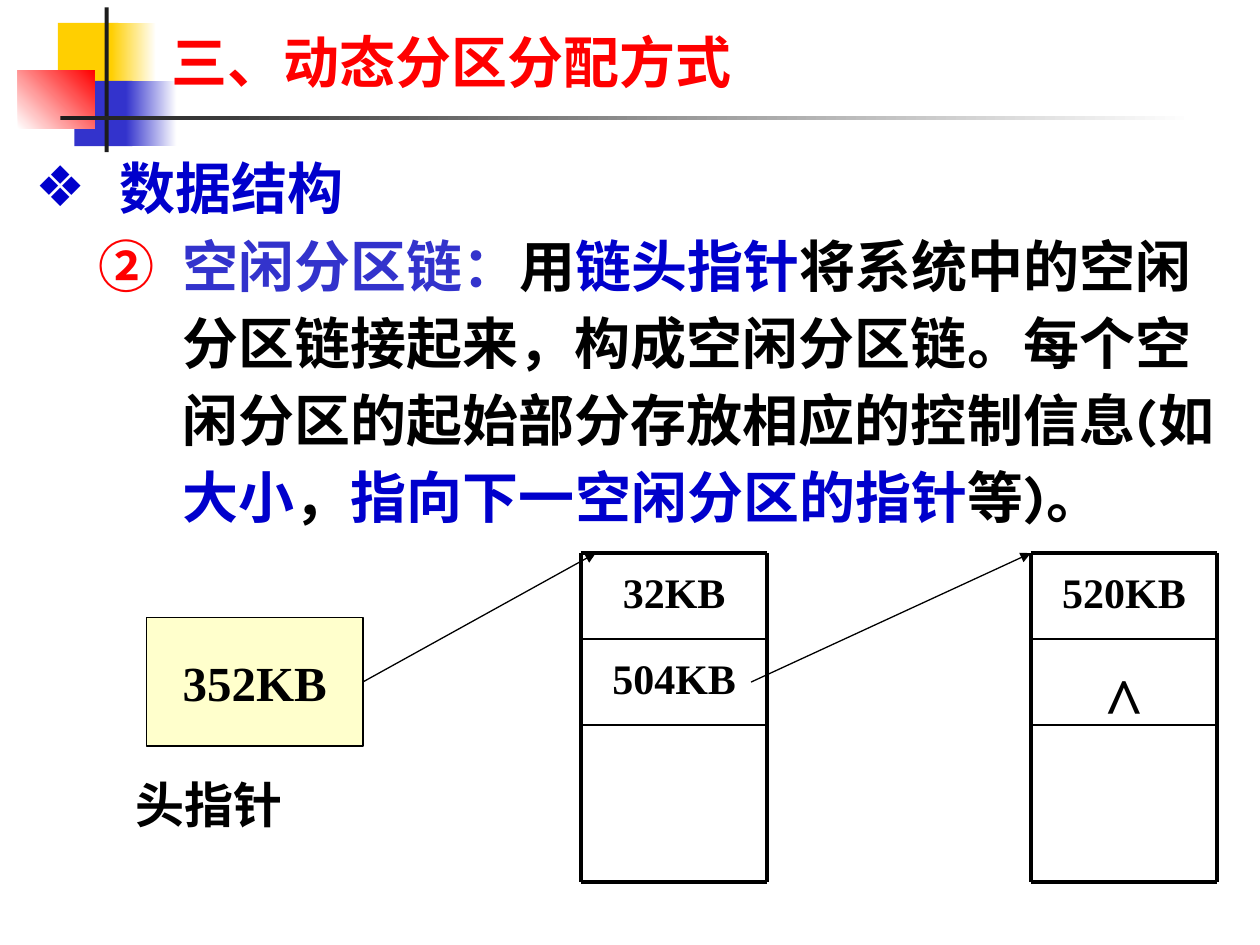
from lxml.etree import SubElement
from pptx import Presentation
from pptx.dml.color import RGBColor
from pptx.enum.shapes import MSO_CONNECTOR, MSO_SHAPE
from pptx.enum.text import MSO_ANCHOR, MSO_AUTO_SIZE, PP_ALIGN
from pptx.oxml.ns import qn
from pptx.util import Cm, Pt

COLORS = {
    "black": "000000", "dark": "1C1C1C", "white": "FFFFFF", "red": "FF0000",
    "blue": "0000CC", "indigo": "3333CC", "yellow": "FFCF01", "cream": "FFFFCC",
}
LATIN, CJK, BODY = "Times New Roman", "Noto Sans CJK SC", "Karla"


def rgb(name):
    return RGBColor.from_string(COLORS[name])


class SlideBuilder:
    def __init__(self, slide):
        self.s = slide

    def style(self, r, size, color="black", font=LATIN):
        r.font.size = Pt(size)
        r.font.bold = True
        r.font.name = font
        r.font.color.rgb = rgb(color)
        SubElement(r.font._element, qn("a:ea"), typeface=CJK)

    def rect(self, x, y, w, h, fill, end=None, angle=0, line=None):
        sp = self.s.shapes.add_shape(MSO_SHAPE.RECTANGLE, Cm(x), Cm(y), Cm(w), Cm(h))
        sp.shadow.inherit = False
        if end:
            sp.fill.gradient()
            sp.fill.gradient_angle = angle
            for stop, name in zip(sp.fill.gradient_stops, (fill, end)):
                stop.color.rgb = rgb(name)
        else:
            sp.fill.solid()
            sp.fill.fore_color.rgb = rgb(fill)
        if line:
            sp.line.color.rgb = rgb("black")
            sp.line.width = Pt(line)
        else:
            sp.line.fill.background()
        return sp

    def label(self, sp, text, size, spacing=None):
        p = sp.text_frame.paragraphs[0]
        p.text = text
        p.alignment = PP_ALIGN.CENTER
        if spacing:
            p.line_spacing = spacing
        self.style(p.runs[0], size)

    def text(self, x, y, w, h, text, size, spacing=None):
        sp = self.s.shapes.add_textbox(Cm(x), Cm(y), Cm(w), Cm(h))
        sp.text_frame.word_wrap = True
        self.label(sp, text, size, spacing)

    def line(self, x1, y1, x2, y2, width, arrow=False):
        c = self.s.shapes.add_connector(
            MSO_CONNECTOR.STRAIGHT, Cm(x1), Cm(y1), Cm(x2), Cm(y2))
        c.line.color.rgb = rgb("black")
        c.line.width = Pt(width)
        if arrow:
            ln = c._element.spPr.find(qn("a:ln"))
            SubElement(ln, qn("a:tailEnd"), type="triangle")
        SubElement(c._element.spPr, qn("a:effectLst"))
        return c

    def placeholder(self, sp, x, y, w, h, anchor):
        sp.left, sp.top, sp.width, sp.height = Cm(x), Cm(y), Cm(w), Cm(h)
        self.s.shapes._spTree.append(sp._element)  # above the decoration
        tf = sp.text_frame
        tf.auto_size = MSO_AUTO_SIZE.NONE
        tf.vertical_anchor = anchor
        return tf

    def bullet(self, p, runs, font, left, tag, color, **attrs):
        pPr = p._p.get_or_add_pPr()
        pPr.set("marL", str(Cm(left)))
        pPr.set("indent", str(Cm(-1.7)))
        clr = SubElement(pPr, qn("a:buClr"))
        SubElement(clr, qn("a:srgbClr"), val=COLORS[color])
        SubElement(pPr, qn(tag), **attrs)
        p.line_spacing = 1.15
        p.space_before = Pt(0)
        for text, name in runs:
            r = p.add_run()
            r.text = text
            self.style(r, 32, name, font)

    def node(self, x, y, w, row, bottom, cells):
        for i, (text, size) in enumerate(cells):
            self.text(x, y + i * row, w, row, text, size, 1.15)
        for yy, width in ((y, 2.25), (y + row, 1), (y + 2 * row, 1), (bottom, 2.25)):
            self.line(x, yy, x + w, yy, width)
        for xx in (x, x + w):
            self.line(xx, y, xx, bottom, 2.25)


def main():
    prs = Presentation()
    prs.slide_width, prs.slide_height = Cm(25.4), Cm(19.05)
    s = prs.slides.add_slide(prs.slide_layouts[1])
    b = SlideBuilder(s)

    # Corner decoration and title rule
    b.rect(1.17, 0.46, 1.22, 1.32, "yellow")
    b.rect(2.24, 0.46, 0.91, 1.32, "yellow", "white")
    b.rect(1.5, 1.63, 1.17, 1.32, "indigo")
    b.rect(2.54, 1.63, 1.02, 1.32, "indigo", "white")
    b.rect(0.36, 1.42, 1.55, 1.17, "white", "red", 45)
    b.rect(2.11, 0.15, 0.08, 2.92, "dark")
    b.rect(1.22, 2.34, 22.86, 0.08, "dark", "white")

    # Title
    tf = b.placeholder(s.shapes.title, 3.2, 0.15, 21.64, 1.88, MSO_ANCHOR.BOTTOM)
    tf.text = "三、动态分区分配方式"
    p = tf.paragraphs[0]
    p.alignment = PP_ALIGN.LEFT
    b.style(p.runs[0], 32, "red", CJK)

    # Body list
    tf = b.placeholder(s.placeholders[1], 0.46, 2.77, 24.33, 14.88, MSO_ANCHOR.TOP)
    b.bullet(tf.paragraphs[0], [("数据结构", "blue")], LATIN, 1.7,
             "a:buChar", "blue", char="❖")
    p = tf.add_paragraph()
    p.level = 1
    b.bullet(p, [
        ("空闲分区链：", "indigo"),
        ("用", "black"),
        ("链头指针", "blue"),
        ("将系统中的空闲分区链接起来，构成空闲分区链。"
         "每个空闲分区的起始部分存放相应的控制信息(如", "black"),
        ("大小", "blue"),
        ("，", "black"),
        ("指向下一空闲分区的指针", "blue"),
        ("等)。", "black"),
    ], BODY, 2.97, "a:buAutoNum", "red", type="circleNumDbPlain", startAt="2")

    # Head pointer
    head = b.rect(2.95, 12.45, 4.37, 2.59, "cream", line=0.75)
    head.text_frame.word_wrap = False
    head.text_frame.vertical_anchor = MSO_ANCHOR.MIDDLE
    b.label(head, "352KB", 28)
    b.text(0.46, 15.49, 7.49, 1.45, "头指针", 28)

    # Free partitions: size, next pointer, free space
    top, width, row, bottom = 11.15, 3.76, 1.73, 17.78
    first, second = 11.71, 20.78
    b.node(first, top, width, row, bottom, [("32KB", 24), ("504KB", 24)])
    b.node(second, top, width, row, bottom, [("520KB", 24), ("^", 40)])

    # Links of the chain
    link = b.line(7.32, 13.75, first + 0.3, top, 0.75, arrow=True)
    link.begin_connect(head, 3)
    b.line(15.14, 13.75, second, top, 0.75, arrow=True)

    prs.save("out.pptx")


if __name__ == "__main__":
    main()
